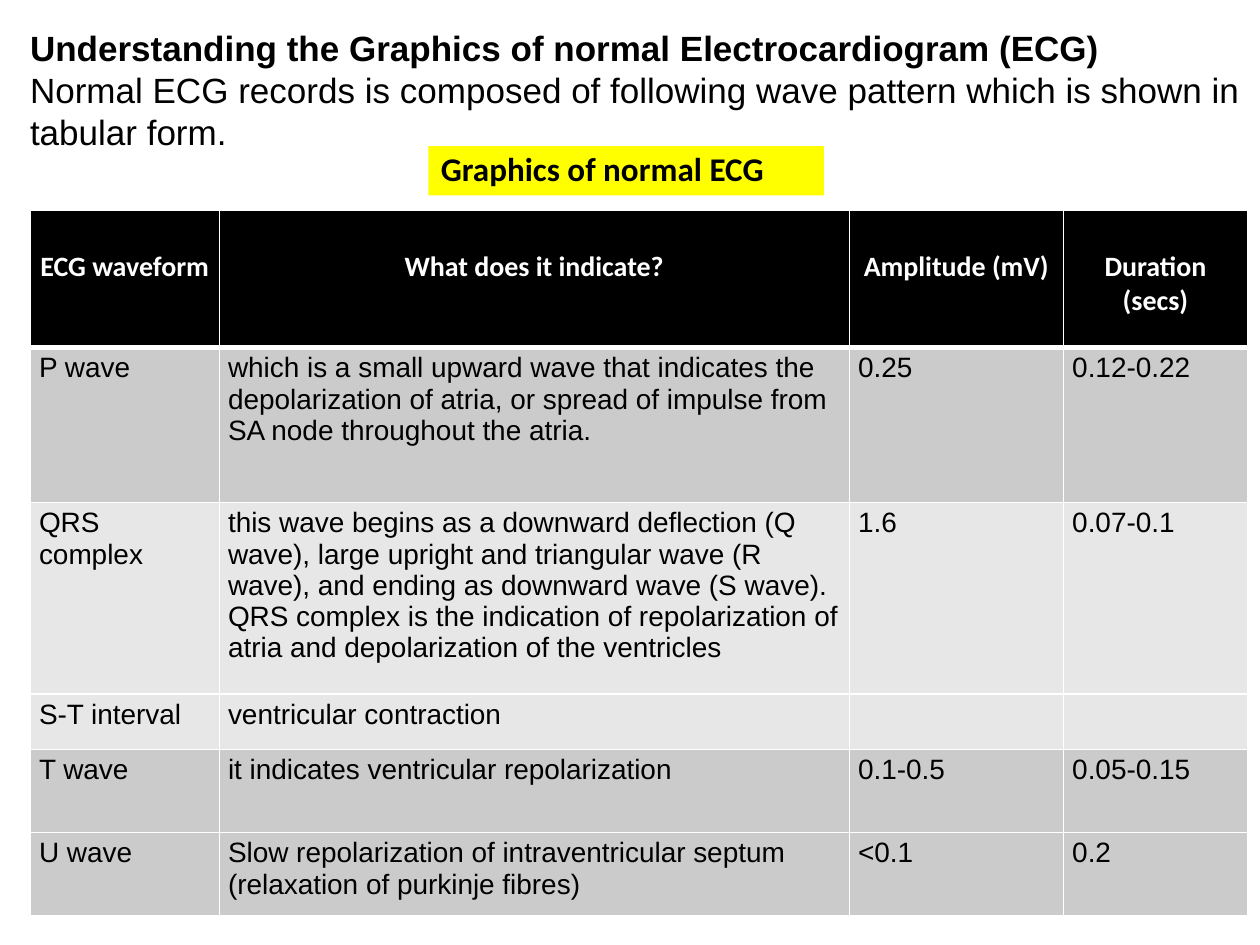
import pptx
import pptx.dml.color
import pptx.enum.text
import pptx.oxml.ns
import pptx.util
from lxml import etree

Inches = pptx.util.Inches
Pt = pptx.util.Pt
ALIGN = pptx.enum.text.PP_ALIGN
ANCHOR = pptx.enum.text.MSO_ANCHOR

COLORS = {
    "black": "000000",
    "white": "FFFFFF",
    "yellow": "FFFF00",
    "dark_band": "CBCBCB",
    "light_band": "E7E7E7",
}

COLUMN_WIDTHS = [1.5, 5, 1.7, 1.46]
HEADER = ["ECG waveform", "What does it indicate?", "Amplitude (mV)", "Duration (secs)"]
HEADER_HEIGHT = 1.09
# Row height, band colour, cell texts
WAVES = [
    (1.23, "dark_band", ["P wave", "which is a small upward wave that indicates the depolarization of "
     "atria, or spread of impulse from SA node throughout the atria.", "0.25", "0.12-0.22"]),
    (1.52, "light_band", ["QRS complex", "this wave begins as a downward deflection (Q wave), large "
     "upright and triangular wave (R wave), and ending as downward wave (S wave). QRS complex is the "
     "indication of repolarization of atria and depolarization of the ventricles", "1.6", "0.07-0.1"]),
    (0.44, "light_band", ["S-T interval", "ventricular contraction", "", ""]),
    (0.66, "dark_band", ["T wave", "it indicates ventricular repolarization", "0.1-0.5", "0.05-0.15"]),
    (0.66, "dark_band", ["U wave", "Slow repolarization of intraventricular septum (relaxation of "
     "purkinje fibres)", "<0.1", "0.2"]),
]


def rgb(name):
    return pptx.dml.color.RGBColor.from_string(COLORS[name])


class SlideBuilder:
    heading_font = "Calibri"
    body_font = "Arial"
    table_size = 16

    def __init__(self, slide):
        self.slide = slide

    def add_run(self, p, text, size, font, color="black", bold=False):
        r = p.add_run()
        r.text = text
        r.font.size = Pt(size)
        r.font.name = font
        r.font.bold = bold
        r.font.color.rgb = rgb(color)

    def text_box(self, left, top, width, height):
        sp = self.slide.shapes.add_textbox(Inches(left), Inches(top), Inches(width), Inches(height))
        sp.text_frame.word_wrap = True
        return sp

    def intro(self, title, sentence, *box):
        tf = self.text_box(*box).text_frame
        self.add_run(tf.paragraphs[0], title, 20, self.body_font, bold=True)
        self.add_run(tf.add_paragraph(), sentence, 20, self.body_font)

    def caption(self, text, *box):
        sp = self.text_box(*box)
        sp.fill.solid()
        sp.fill.fore_color.rgb = rgb("yellow")
        sp.text_frame.vertical_anchor = ANCHOR.MIDDLE
        p = sp.text_frame.paragraphs[0]
        p.line_spacing = 0.9
        self.add_run(p, text, 18.9, self.heading_font, bold=True)

    def borders(self, cell, top, bottom):
        """Draw white cell edges; top and bottom are widths in points."""
        tc_pr = cell._tc.get_or_add_tcPr()
        for tag, width in (("a:lnL", 1), ("a:lnR", 1), ("a:lnT", top), ("a:lnB", bottom)):
            ln = etree.SubElement(tc_pr, pptx.oxml.ns.qn(tag), w=str(Pt(width)))
            fill = etree.SubElement(ln, pptx.oxml.ns.qn("a:solidFill"))
            etree.SubElement(fill, pptx.oxml.ns.qn("a:srgbClr"), val=COLORS["white"])

    def cell(self, cell, text, fill, top=1, bottom=1, is_header=False):
        self.borders(cell, top, bottom)
        cell.fill.solid()
        cell.fill.fore_color.rgb = rgb(fill)
        cell.margin_left = cell.margin_right = Inches(0.07)
        cell.margin_top = Inches(0.31 if is_header else 0.04)
        cell.margin_bottom = Inches(0.04)
        p = cell.text_frame.paragraphs[0]
        if is_header:
            p.alignment = ALIGN.CENTER
            self.add_run(p, text, self.table_size, self.heading_font, "white", True)
        elif text:
            self.add_run(p, text, self.table_size, self.body_font)

    def wave_table(self, left, top):
        heights = [HEADER_HEIGHT] + [height for height, _, _ in WAVES]
        table = self.slide.shapes.add_table(
            len(heights), len(COLUMN_WIDTHS), Inches(left), Inches(top),
            Inches(sum(COLUMN_WIDTHS)), Inches(sum(heights))).table
        for column, width in zip(table.columns, COLUMN_WIDTHS):
            column.width = Inches(width)
        for row, height in zip(table.rows, heights):
            row.height = Inches(height)
        for col, text in enumerate(HEADER):
            self.cell(table.cell(0, col), text, "black", bottom=3, is_header=True)
        for row, (_, band, texts) in enumerate(WAVES, start=1):
            for col, text in enumerate(texts):
                self.cell(table.cell(row, col), text, band, top=3 if row == 1 else 1)


def main():
    prs = pptx.Presentation()
    prs.slide_width = Inches(10)
    prs.slide_height = Inches(7.5)
    s = SlideBuilder(prs.slides.add_slide(prs.slide_layouts[6]))
    s.caption("Graphics of normal ECG", 3.4, 1.16, 3.14, 0.39)
    s.wave_table(0.24, 1.67)
    s.intro("Understanding the Graphics of normal Electrocardiogram (ECG)",
            "Normal ECG records is composed of following wave pattern which is shown in tabular form.",
            0.14, 0.16, 9.86, 1.11)
    prs.save("out.pptx")


if __name__ == "__main__":
    main()
